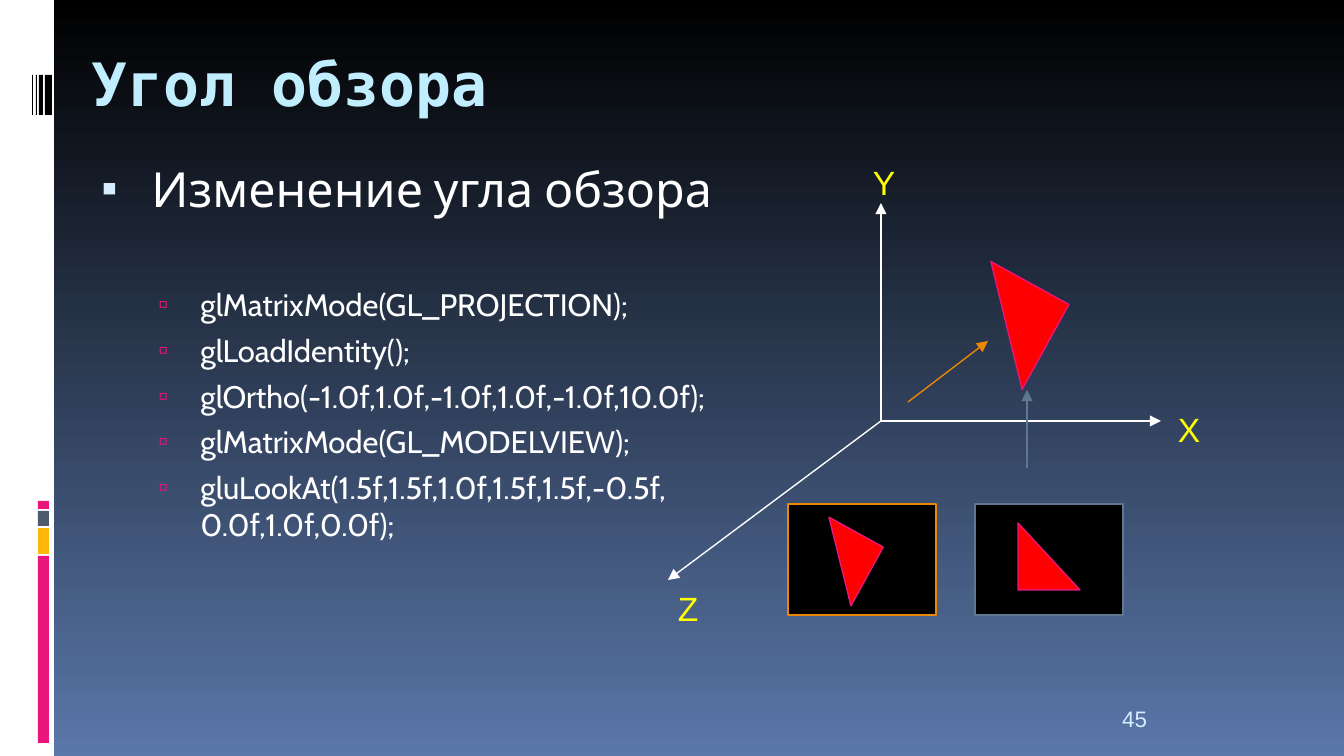
import pptx
import pptx.util
import pptx.oxml
import pptx.oxml.ns
import pptx.dml.color
import pptx.enum.shapes
import pptx.enum.text

RGB = pptx.dml.color.RGBColor
SHAPE = pptx.enum.shapes.MSO_SHAPE
ALIGN = pptx.enum.text.PP_ALIGN
ANCHOR = pptx.enum.text.MSO_ANCHOR
FIT = pptx.enum.text.MSO_AUTO_SIZE

WHITE = RGB(0xFF, 0xFF, 0xFF)
BLACK = RGB(0x00, 0x00, 0x00)
BLUE = RGB(0x5A, 0x77, 0xA9)
PINK = RGB(0xEA, 0x15, 0x7A)
GOLD = RGB(0xFE, 0xB8, 0x0A)
SLATE = RGB(0x4E, 0x5B, 0x6F)
PALE = RGB(0xD6, 0xEC, 0xFF)
SKY = RGB(0xC1, 0xEE, 0xFF)
YELLOW = RGB(0xFF, 0xFF, 0x00)
ORANGE = RGB(0xEB, 0x88, 0x03)
STEEL = RGB(0x5F, 0x77, 0x91)
RED = RGB(0xFF, 0x00, 0x00)

SCALE = 914400 / 134.4
HAIR = pptx.util.Pt(0.75)


def px(num):
    return pptx.util.Emu(round(num * SCALE))


def element(tag, **attrs):
    node = pptx.oxml.parse_xml(f"<{tag} {pptx.oxml.ns.nsdecls('a')}/>")
    for key, value in attrs.items():
        node.set(key, str(value))
    return node


class Deck:
    def __init__(self):
        self.prs = pptx.Presentation()
        self.prs.slide_width = px(1344)
        self.prs.slide_height = px(756)
        self.slide = self.prs.slides.add_slide(self.prs.slide_layouts[1])

    def backdrop(self, top, base):
        fill = self.slide.background.fill
        fill.gradient()
        fill.gradient_angle = 270
        for stop, color, place in zip(fill.gradient_stops, (top, base), (0, 1)):
            stop.color.rgb = color
            stop.position = place

    def shape(self, kind, x, y, w, h, fill, line=None, turn=0):
        item = self.slide.shapes.add_shape(kind, px(x), px(y), px(w), px(h))
        item.shadow.inherit = False
        item.fill.solid()
        item.fill.fore_color.rgb = fill
        if line is None:
            item.line.fill.background()
        else:
            item.line.color.rgb = line
            item.line.width = HAIR
        item.rotation = turn

    def arrow(self, x1, y1, x2, y2, color):
        item = self.slide.shapes.add_connector(
            pptx.enum.shapes.MSO_CONNECTOR.STRAIGHT, px(x1), px(y1), px(x2), px(y2))
        item.line.color.rgb = color
        item.line.width = HAIR
        item.line._get_or_add_ln().append(element("a:tailEnd", type="triangle"))
        item._element.spPr.append(element("a:effectLst"))

    def run(self, para, text, size, font, color, bold=False):
        run = para.add_run()
        run.text = text
        run.font.size = pptx.util.Pt(size)
        run.font.name = font
        run.font.color.rgb = color
        run.font.bold = bold

    def label(self, text, x, y, w, h, size, color, align, anchor=ANCHOR.TOP):
        box = self.slide.shapes.add_textbox(px(x), px(y), px(w), px(h))
        frame = box.text_frame
        frame.word_wrap = True
        frame.vertical_anchor = anchor
        para = frame.paragraphs[0]
        para.alignment = align
        self.run(para, text, size, "Arial", color)

    def holder(self, item, x, y, w, h, anchor):
        item.left, item.top, item.width, item.height = px(x), px(y), px(w), px(h)
        frame = item.text_frame
        frame.word_wrap = True
        frame.auto_size = FIT.NONE
        frame.vertical_anchor = anchor
        return frame

    def title(self, text, x, y, w, h):
        frame = self.holder(self.slide.shapes.title, x, y, w, h, ANCHOR.MIDDLE)
        para = frame.paragraphs[0]
        para.alignment = ALIGN.LEFT
        self.run(para, text, 32, "DejaVu Sans Mono", SKY, True)

    def bullet(self, para, sign, color, share, left, hang):
        props = para._p.get_or_add_pPr()
        props.set("marL", str(px(left)))
        props.set("indent", str(px(-hang)))
        tint = element("a:buClr")
        tint.append(element("a:srgbClr", val=color))
        props.append(tint)
        props.append(element("a:buSzPct", val=share * 1000))
        props.append(element("a:buChar", char=sign))

    def body(self, head, codes, x, y, w, h):
        frame = self.holder(self.slide.placeholders[1], x, y, w, h, ANCHOR.TOP)
        para = frame.paragraphs[0]
        self.bullet(para, "▪", PALE, 95, 60, 50)
        para.space_before = pptx.util.Pt(0)
        self.run(para, head, 25.9, "Cabin", WHITE)
        for rank, code in enumerate(codes):
            para = frame.add_paragraph()
            para.level = 1
            self.bullet(para, "▫", PINK, 90, 109, 42)
            para.space_before = pptx.util.Pt(4.5 if rank else 37)
            self.run(para, code, 16.6, "Cabin", WHITE)


def main():
    deck = Deck()
    deck.backdrop(BLACK, BLUE)

    deck.shape(SHAPE.RECTANGLE, 0, 0, 54, 756, WHITE)
    for y, h, color in ((556, 187, PINK), (528, 26, GOLD), (511, 15, SLATE), (501, 8, PINK)):
        deck.shape(SHAPE.RECTANGLE, 38, y, 11, h, color)
    for x, w in ((45, 7), (39, 4), (36, 1), (32, 1)):
        deck.shape(SHAPE.RECTANGLE, x, 75, w, 40, BLACK)

    deck.label("45", 1109, 689, 191, 50, 12, PALE, ALIGN.LEFT, ANCHOR.BOTTOM)
    deck.title("Угол обзора", 78, 33, 1220, 100)
    deck.body("Изменение угла обзора", (
        "glMatrixMode(GL_PROJECTION);",
        "glLoadIdentity();",
        "glOrtho(-1.0f,1.0f,-1.0f,1.0f,-1.0f,10.0f);",
        "glMatrixMode(GL_MODELVIEW);",
        "gluLookAt(1.5f,1.5f,1.0f,1.5f,1.5f,-0.5f, 0.0f,1.0f,0.0f);",
    ), 78, 152, 677, 520)

    for x, y in ((881, 203), (1161, 421), (668, 580)):
        deck.arrow(881, 421, x, y, WHITE)
    for name, x, y in (("X", 1153, 402), ("Z", 652, 581), ("Y", 848, 155)):
        deck.label(name, x, y, 72, 54, 18, YELLOW, ALIGN.CENTER)

    deck.arrow(908, 402, 988, 341, ORANGE)
    deck.shape(SHAPE.RIGHT_TRIANGLE, 962, 277, 89, 97, RED, PINK, 208.8)
    deck.arrow(1027, 468, 1027, 390, STEEL)

    for x, color, left, top, turn in ((788, ORANGE, 809, 528, 208.8), (975, STEEL, 1018, 523, 0)):
        deck.shape(SHAPE.RECTANGLE, x, 504, 148, 111, BLACK, color)
        deck.shape(SHAPE.RIGHT_TRIANGLE, left, top, 62, 67, RED, PINK, turn)

    deck.prs.save("out.pptx")


if __name__ == "__main__":
    main()
